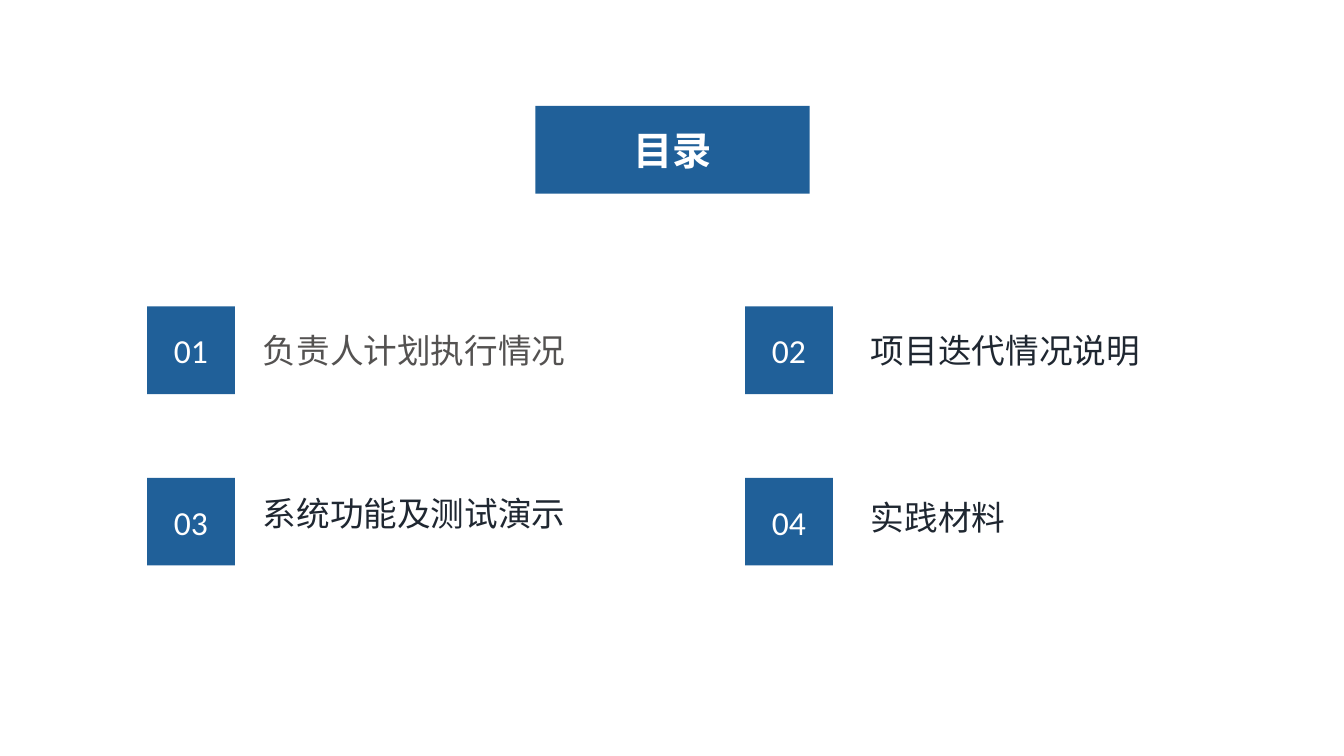
from dataclasses import dataclass

from pptx import Presentation
from pptx.dml.color import RGBColor
from pptx.enum.shapes import MSO_SHAPE
from pptx.enum.text import MSO_ANCHOR, MSO_AUTO_SIZE, PP_ALIGN
from pptx.util import Inches, Pt

RECTANGLE = MSO_SHAPE.RECTANGLE
ROUNDED = MSO_SHAPE.ROUNDED_RECTANGLE
MIDDLE = MSO_ANCHOR.MIDDLE
CENTER = PP_ALIGN.CENTER
FIT_SHAPE = MSO_AUTO_SIZE.SHAPE_TO_FIT_TEXT


@dataclass(frozen=True)
class Theme:
    blue: str = "206099"
    white: str = "FFFFFF"
    ink: str = "1F2731"
    gray: str = "545251"
    latin: str = "Calibri"
    sans: str = "Arial"
    title_size: int = 28
    entry_size: int = 24


THEME = Theme()

# Grid in inches
PAGE_WIDTH, PAGE_HEIGHT = 13.33, 7.5
TILE = 0.87
TILE_COLUMNS = (1.46, 7.39)
LABEL_COLUMNS = (2.51, 8.54)
TILE_ROWS = (3.04, 4.74)
LABEL_HEIGHT = 0.5

# Contents in reading order: label, width, drop below tile top, font, colour
ENTRIES = (
    ("负责人计划执行情况", 3.23, 0.18, THEME.sans, THEME.gray),
    ("项目迭代情况说明", 2.89, 0.18, THEME.latin, THEME.ink),
    ("系统功能及测试演示", 3.33, 0.10, THEME.latin, THEME.ink),
    ("实践材料", 1.55, 0.14, THEME.latin, THEME.ink),
)


def write(frame, text, size, font, color, bold=False):
    frame.text = text
    para = frame.paragraphs[0]
    for span in para.runs:
        span.font.name = font
        span.font.size = Pt(size)
        span.font.bold = bold
        span.font.color.rgb = RGBColor.from_string(color)
    return para


def add_block(page, kind, bounds, text, size, bold=False):
    """Blue block with centred white text."""
    block = page.shapes.add_shape(kind, *map(Inches, bounds))
    block.shadow.inherit = False
    block.fill.solid()
    block.fill.fore_color.rgb = RGBColor.from_string(THEME.blue)
    block.line.fill.background()
    frame = block.text_frame
    frame.vertical_anchor = MIDDLE
    para = write(frame, text, size, THEME.latin, THEME.white, bold)
    para.alignment = CENTER
    return block


def add_label(page, bounds, text, font, color):
    """Single-line entry label."""
    box = page.shapes.add_textbox(*map(Inches, bounds))
    frame = box.text_frame
    frame.word_wrap = False
    frame.auto_size = FIT_SHAPE
    write(frame, text, THEME.entry_size, font, color)


def add_entry(page, index, entry):
    """Numbered tile and its label, placed by row and column."""
    text, width, drop, font, color = entry
    row, column = divmod(index, len(TILE_COLUMNS))
    top = TILE_ROWS[row]
    add_block(page, RECTANGLE, (TILE_COLUMNS[column], top, TILE, TILE),
              f"{index + 1:02d}", THEME.entry_size)
    add_label(page, (LABEL_COLUMNS[column], top + drop, width, LABEL_HEIGHT),
              text, font, color)


def main():
    deck = Presentation()
    deck.slide_width, deck.slide_height = Inches(PAGE_WIDTH), Inches(PAGE_HEIGHT)
    page = deck.slides.add_slide(deck.slide_layouts[6])

    # Heading
    heading = add_block(page, ROUNDED, (5.31, 1.05, 2.72, TILE),
                        "目录", THEME.title_size, bold=True)
    heading.adjustments[0] = 0

    # Contents
    for index, entry in enumerate(ENTRIES):
        add_entry(page, index, entry)

    deck.save("out.pptx")


if __name__ == "__main__":
    main()
